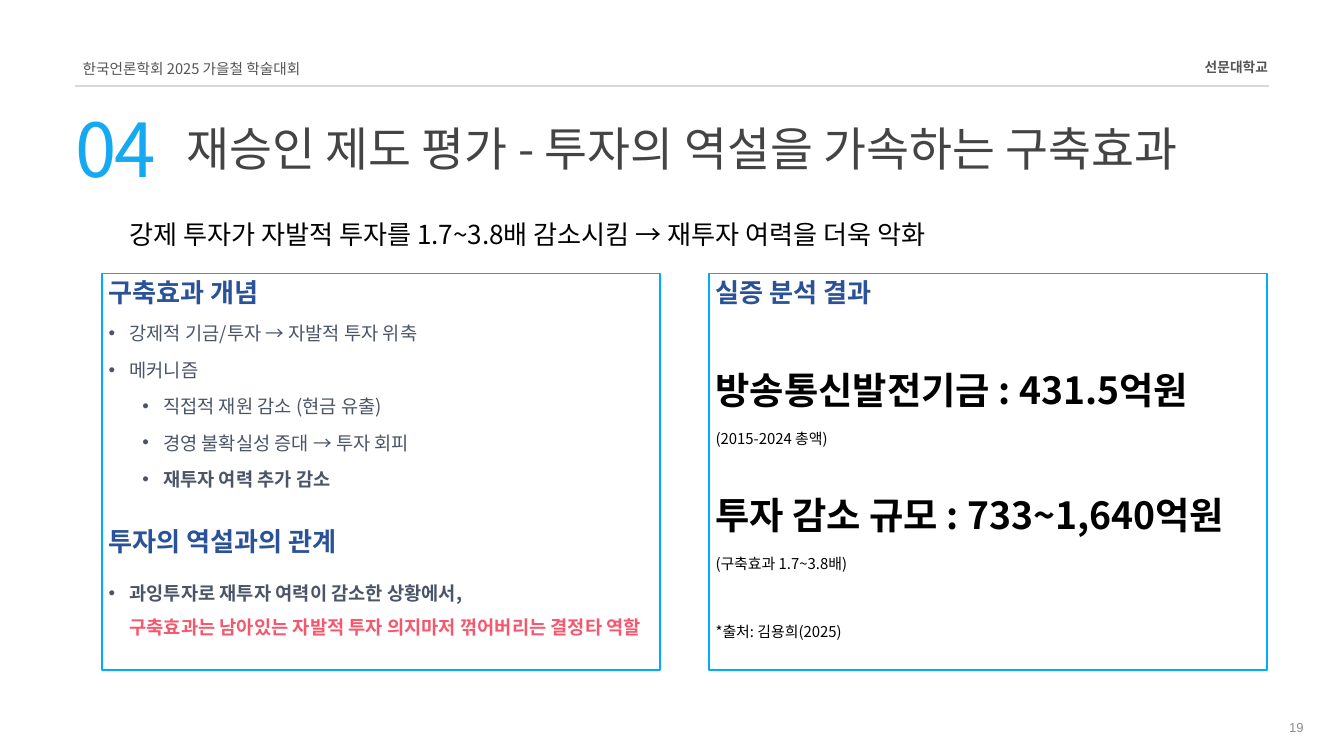
from lxml.etree import SubElement
from pptx import Presentation
from pptx.dml.color import RGBColor
from pptx.enum.shapes import MSO_CONNECTOR, MSO_SHAPE
from pptx.enum.text import MSO_ANCHOR, MSO_AUTO_SIZE, PP_ALIGN
from pptx.oxml.ns import qn
from pptx.util import Inches, Pt

COLORS = {
    "number": "15A9F1", "title": "454444", "header": "545454",
    "rule": "D9D9D9", "border": "00ACFF", "heading": "2A5298",
    "body": "4A5568", "accent": "F5576C", "black": "000000", "page": "8C8C8C",
}


class Deck:
    font = "Noto Sans CJK KR"

    def __init__(self, prs):
        self.prs = prs
        self.s = prs.slides.add_slide(prs.slide_layouts[5])

    def color(self, name):
        return RGBColor.from_string(COLORS[name])

    def run(self, r, size, color, bold=False, font=None, spacing=None):
        name = font or self.font
        r.font.size, r.font.bold, r.font.name = Pt(size), bold, name
        r.font.color.rgb = self.color(color)
        rPr = r.font._element
        SubElement(rPr, qn("a:ea")).set("typeface", name)
        if spacing is not None:
            rPr.set("spc", str(round(spacing * 100)))

    def paragraph(self, p, text, size, color, accent=None, bullet=None,
                  align=PP_ALIGN.LEFT, line=None, before=0, after=0, **style):
        """Fill a paragraph; bullet is the outline level, accent colours the last run."""
        p.text = text
        p.alignment = align
        if bullet is not None:
            p.level = bullet
            pPr = p._p.get_or_add_pPr()
            pPr.set("marL", str(Inches(0.31 + 0.5 * bullet)))
            pPr.set("indent", str(Inches(-0.31)))
            SubElement(pPr, qn("a:buFont")).set("typeface", "Arial")
            SubElement(pPr, qn("a:buChar")).set("char", "•")
        p.space_before, p.space_after = Pt(before), Pt(after)
        if line:
            p.line_spacing = line
        for r in p.runs:
            self.run(r, size, color, **style)
        if accent:
            p.runs[-1].font.color.rgb = self.color(accent)

    def frame(self, sp, inset=True, anchor=MSO_ANCHOR.TOP):
        tf = sp.text_frame
        tf.word_wrap = True
        tf.auto_size = MSO_AUTO_SIZE.NONE
        tf.vertical_anchor = anchor
        if not inset:
            tf.margin_left = tf.margin_right = tf.margin_top = tf.margin_bottom = 0
        return tf

    def title(self, box, text, size, color):
        sp = self.s.shapes.title
        sp.left, sp.top, sp.width, sp.height = map(Inches, box)
        self.paragraph(self.frame(sp, inset=False).paragraphs[0], text, size, color)

    def text(self, box, text, size, color, inset=False, anchor=MSO_ANCHOR.TOP, **style):
        sp = self.s.shapes.add_textbox(*map(Inches, box))
        self.paragraph(self.frame(sp, inset, anchor).paragraphs[0],
                       text, size, color, **style)

    def rule(self, x1, x2, y):
        c = self.s.shapes.add_connector(
            MSO_CONNECTOR.STRAIGHT, Inches(x1), Inches(y), Inches(x2), Inches(y))
        c.line.color.rgb = self.color("rule")
        c.line.width = Pt(1.5)
        SubElement(c._element.spPr, qn("a:effectLst"))

    def panel(self, left, paragraphs):
        sp = self.s.shapes.add_shape(
            MSO_SHAPE.RECTANGLE, Inches(left), Inches(4.07), Inches(8.3), Inches(5.9))
        sp.shadow.inherit = False
        sp.fill.background()
        sp.line.color.rgb = self.color("border")
        sp.line.width = Pt(2)
        tf = self.frame(sp)
        for i, (text, style) in enumerate(paragraphs):
            p = tf.add_paragraph() if i else tf.paragraphs[0]
            self.paragraph(p, text, **style)


def main():
    prs = Presentation()
    prs.slide_width, prs.slide_height = Inches(20), Inches(11.25)
    deck = Deck(prs)

    deck.rule(1.12, 18.88, 1.28)
    deck.text((1.23, 0.89, 3.6, 0.24), "한국언론학회 2025 가을철 학술대회",
              15.7, "header", line=Pt(18.9))
    deck.text((16.55, 0.87, 2.32, 0.23), "선문대학교", 14.7, "header",
              bold=True, align=PP_ALIGN.RIGHT, line=Pt(17.7))
    deck.text((1.12, 1.53, 1.64, 1.24), "04", 79.8, "number",
              line=Pt(95.8), spacing=-2.4)
    deck.title((2.77, 1.78, 15.56, 0.84),
               "재승인 제도 평가 - 투자의 역설을 가속하는 구축효과", 50, "title")
    deck.text((1.83, 3.2, 14.73, 0.57),
              "강제 투자가 자발적 투자를 1.7~3.8배 감소시킴 → 재투자 여력을 더욱 악화",
              28, "black", inset=True)

    heading = dict(size=28, color="heading", bold=True, after=15)
    point = dict(size=20, color="body", bullet=0, after=15)
    subpoint = point | dict(bullet=1)
    conclusion = point | dict(bold=True, accent="accent", line=1.5, after=11.2)
    figure = dict(size=40, color="black", bold=True, line=2.0)
    note = dict(size=16, color="black", line=2.0)

    deck.panel(1.52, [
        ("구축효과 개념", heading),
        ("강제적 기금/투자 → 자발적 투자 위축", point),
        ("메커니즘", point),
        ("직접적 재원 감소 (현금 유출)", subpoint),
        ("경영 불확실성 증대 → 투자 회피", subpoint),
        ("재투자 여력 추가 감소", subpoint | dict(bold=True)),
        ("투자의 역설과의 관계", heading | dict(before=22.5)),
        ("과잉투자로 재투자 여력이 감소한 상황에서,\v"
         "구축효과는 남아있는 자발적 투자 의지마저 꺾어버리는 결정타 역할", conclusion),
    ])
    deck.panel(10.55, [
        ("실증 분석 결과", heading),
        ("방송통신발전기금 : 431.5억원", figure),
        ("(2015-2024 총액)", note),
        ("투자 감소 규모 : 733~1,640억원", figure),
        ("(구축효과 1.7~3.8배)", note),
        ("*출처: 김용희(2025)", note | dict(line=1.0, before=53)),
    ])
    deck.text((17.17, 10.62, 2.33, 0.4), "19", 14, "page", inset=True,
              anchor=MSO_ANCHOR.MIDDLE, align=PP_ALIGN.RIGHT, font="Arial")
    prs.save("out.pptx")


if __name__ == "__main__":
    main()
